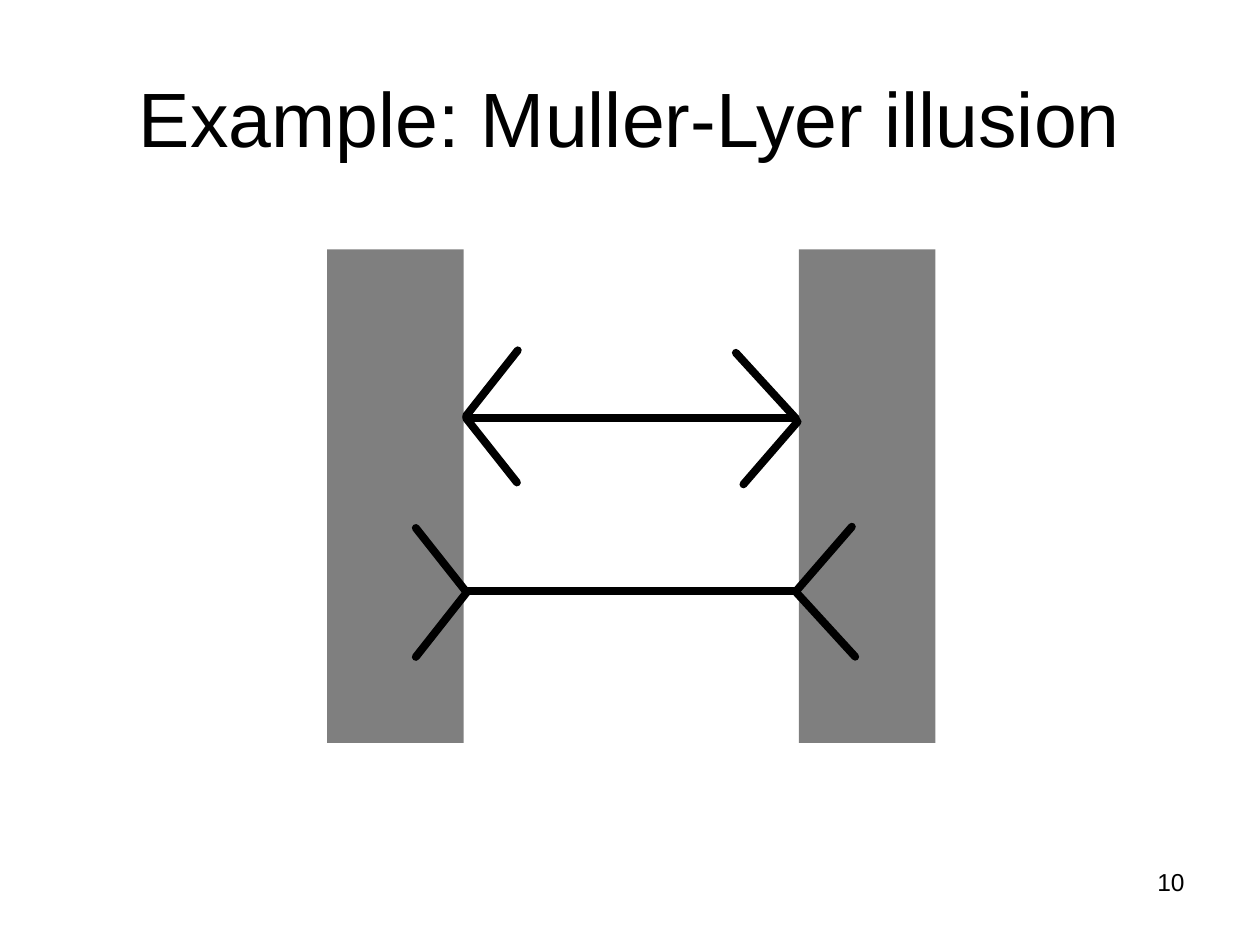
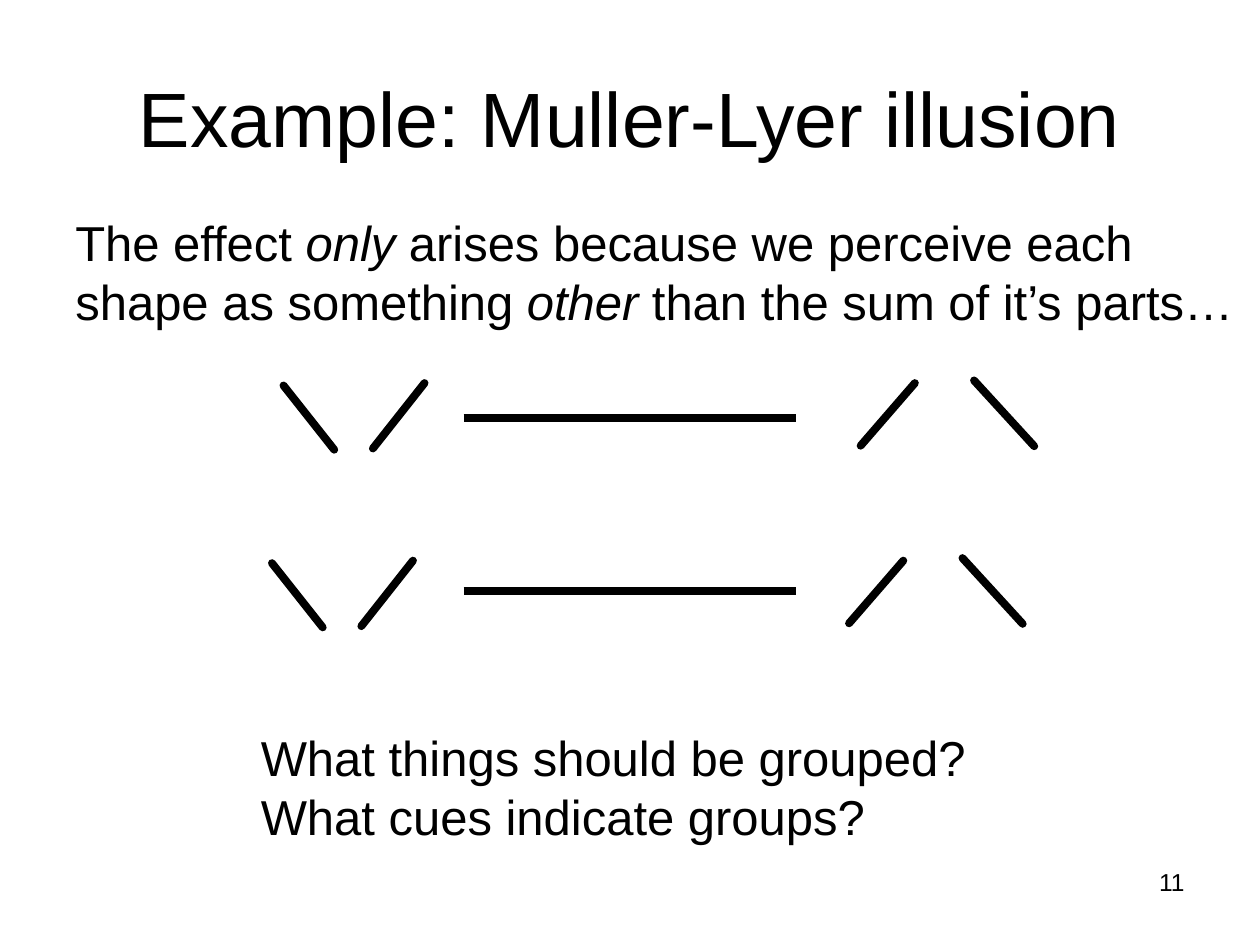
"""Builds two slides on the Muller-Lyer illusion."""
from dataclasses import dataclass

from lxml.etree import SubElement as SubEl
from pptx import Presentation as Deck
from pptx.dml.color import RGBColor as Rgb
from pptx.enum.shapes import MSO_CONNECTOR as Link, MSO_SHAPE as Form
from pptx.enum.text import MSO_ANCHOR as Anchor, PP_ALIGN as Align
from pptx.oxml.ns import qn
from pptx.util import Pt


@dataclass(frozen=True)
class Theme:
    ink: Rgb = Rgb(0, 0, 0)
    paper: Rgb = Rgb(255, 255, 255)
    font: str = "Arial"
    title: float = 44
    body: float = 28
    small: float = 14
    stroke: float = 4.5
    alpha: int = 50000


@dataclass(frozen=True)
class Box:
    left: float
    top: float
    width: float
    height: float


@dataclass(frozen=True)
class Kind:
    width: float
    height: float
    rise: bool


@dataclass(frozen=True)
class Fin:
    kind: Kind
    left: float
    top: float


THEME = Theme()
TITLE = Box(36, 21.6, 648, 90)
NUMBER = Box(516, 492, 168, 37.5)
CLAIM = Box(36, 118, 684, 90)
ASK = Box(142, 412, 648, 90)
SHAFT_X = (265, 455)
SHAFT_Y = (239, 337.7)
BARS = [Box(x, 142.5, 78, 282) for x in (187, 456.5)]

LEFT_UP = Kind(29.5, 37.4, True)
LEFT_DOWN = Kind(29, 36.7, False)
RIGHT_UP = Kind(31, 35.8, True)
RIGHT_DOWN = Kind(34.4, 37.6, False)

JOINED = [
    Fin(LEFT_UP, 266.4, 200.2), Fin(LEFT_DOWN, 266.4, 239),
    Fin(RIGHT_DOWN, 420.5, 201.6), Fin(RIGHT_UP, 424.8, 241),
    Fin(LEFT_DOWN, 237.6, 301.7), Fin(LEFT_UP, 237.6, 338),
    Fin(RIGHT_UP, 455.8, 301), Fin(RIGHT_DOWN, 454.3, 337.7),
]
LOOSE = [
    Fin(LEFT_UP, 213.1, 218.9), Fin(RIGHT_DOWN, 556.6, 217.4),
    Fin(LEFT_DOWN, 162, 220.3), Fin(RIGHT_UP, 491.8, 218.9),
]
SHIFTS = ((0, 0), (-6.6, 101.5))


def add_text(slide, box: Box, text: str, size: float = THEME.body,
             align=Align.LEFT, anchor=Anchor.TOP) -> None:
    """Write text, with *stars* around italics and line ends as breaks."""
    area = slide.shapes.add_textbox(
        Pt(box.left), Pt(box.top), Pt(box.width), Pt(box.height))
    frame = area.text_frame
    frame.word_wrap = True
    frame.vertical_anchor = anchor
    para = frame.paragraphs[0]
    para.alignment = align
    for row, line in enumerate(text.split("\n")):
        if row:
            para.add_line_break()
        for turn, part in enumerate(line.split("*")):
            run = para.add_run()
            run.text = part
            run.font.name = THEME.font
            run.font.size = Pt(size)
            run.font.color.rgb = THEME.ink
            run.font.italic = turn % 2 == 1


def add_line(shapes, start: tuple[float, float], end: tuple[float, float],
             cap: str = "flat") -> None:
    """Draw a thick straight line with the given cap."""
    line = shapes.add_connector(Link.STRAIGHT, *map(Pt, start + end))
    line.line.color.rgb = THEME.ink
    line.line.width = Pt(THEME.stroke)
    props = line._element.spPr
    props.find(qn("a:ln")).set("cap", cap)
    SubEl(props, qn("a:effectLst"))


def add_fins(shapes, fins: list[Fin], dx: float = 0, dy: float = 0) -> None:
    """Draw slanted strokes, moved by dx and dy."""
    for fin in fins:
        left, top = fin.left + dx, fin.top + dy
        right, base = left + fin.kind.width, top + fin.kind.height
        first, last = (base, top) if fin.kind.rise else (top, base)
        add_line(shapes, (left, first), (right, last), cap="rnd")


def add_bar(slide, box: Box) -> None:
    """Draw a half clear bar."""
    bar = slide.shapes.add_shape(
        Form.RECTANGLE, Pt(box.left), Pt(box.top), Pt(box.width), Pt(box.height))
    bar.shadow.inherit = False
    bar.fill.solid()
    bar.fill.fore_color.rgb = THEME.ink
    bar.line.fill.background()
    tint = bar._element.spPr.find(qn("a:solidFill"))[0]
    SubEl(tint, qn("a:alpha")).set("val", str(THEME.alpha))


def add_page(deck, number: int):
    """Add a slide with the title, page number and two shafts."""
    slide = deck.slides.add_slide(deck.slide_layouts[6])
    slide.background.fill.solid()
    slide.background.fill.fore_color.rgb = THEME.paper
    add_text(slide, TITLE, "Example: Muller-Lyer illusion", size=THEME.title,
             align=Align.CENTER, anchor=Anchor.MIDDLE)
    add_text(slide, NUMBER, str(number), size=THEME.small, align=Align.RIGHT)
    start, end = SHAFT_X
    for y in SHAFT_Y:
        add_line(slide.shapes, (start, y), (end, y))
    return slide


def main() -> None:
    """Build and save the deck."""
    deck = Deck()
    deck.slide_width, deck.slide_height = Pt(720), Pt(540)

    whole = add_page(deck, 10)
    add_fins(whole.shapes, JOINED)
    for bar in BARS:
        add_bar(whole, bar)

    parts = add_page(deck, 11)
    add_text(parts, ASK, "What things should be grouped?\nWhat cues indicate groups?")
    add_text(parts, CLAIM, "The effect *only* arises because we perceive each shape "
             "as something *other* than the sum of it’s parts…")
    for dx, dy in SHIFTS:
        add_fins(parts.shapes.add_group_shape().shapes, LOOSE, dx, dy)

    deck.save("out.pptx")


if __name__ == "__main__":
    main()
